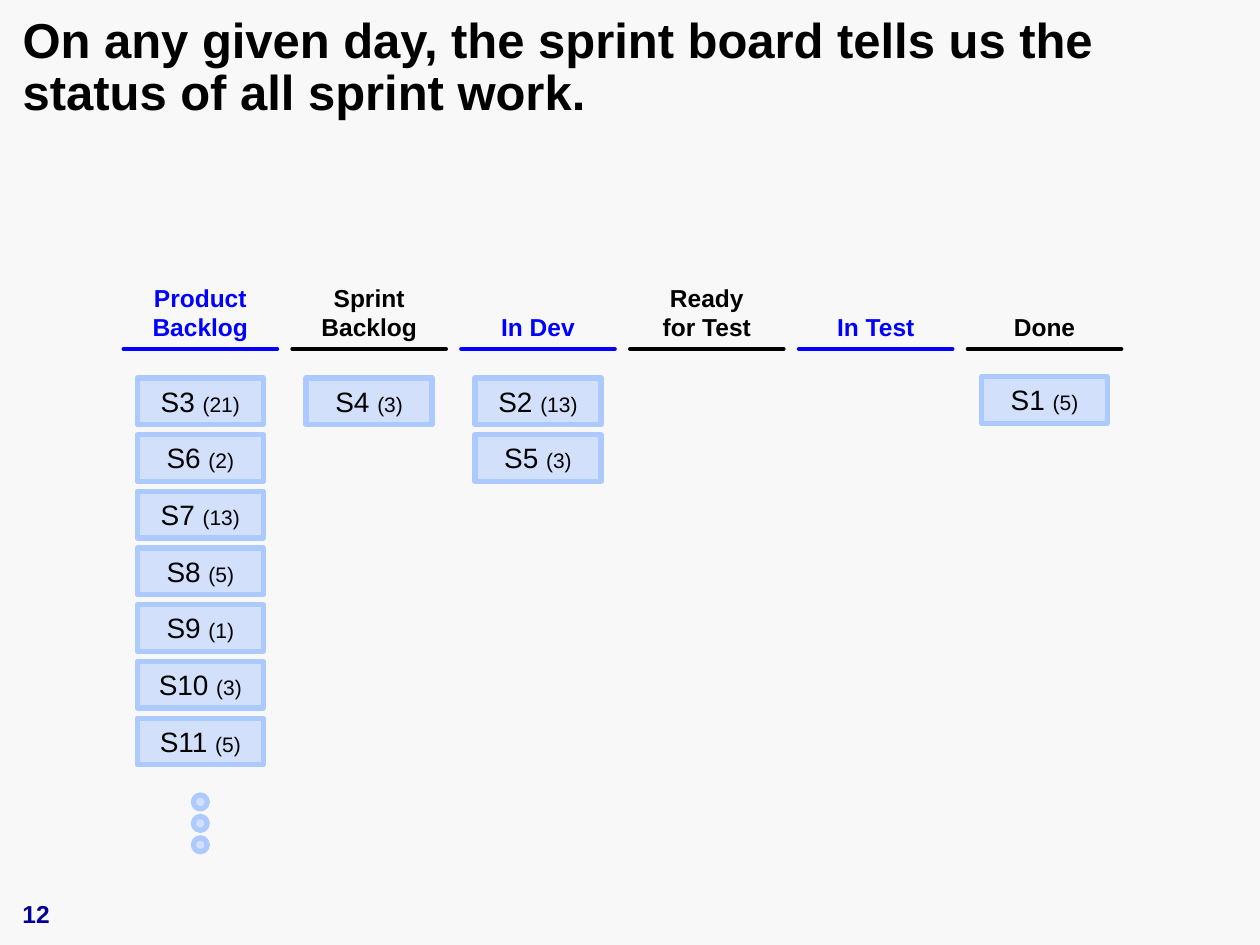
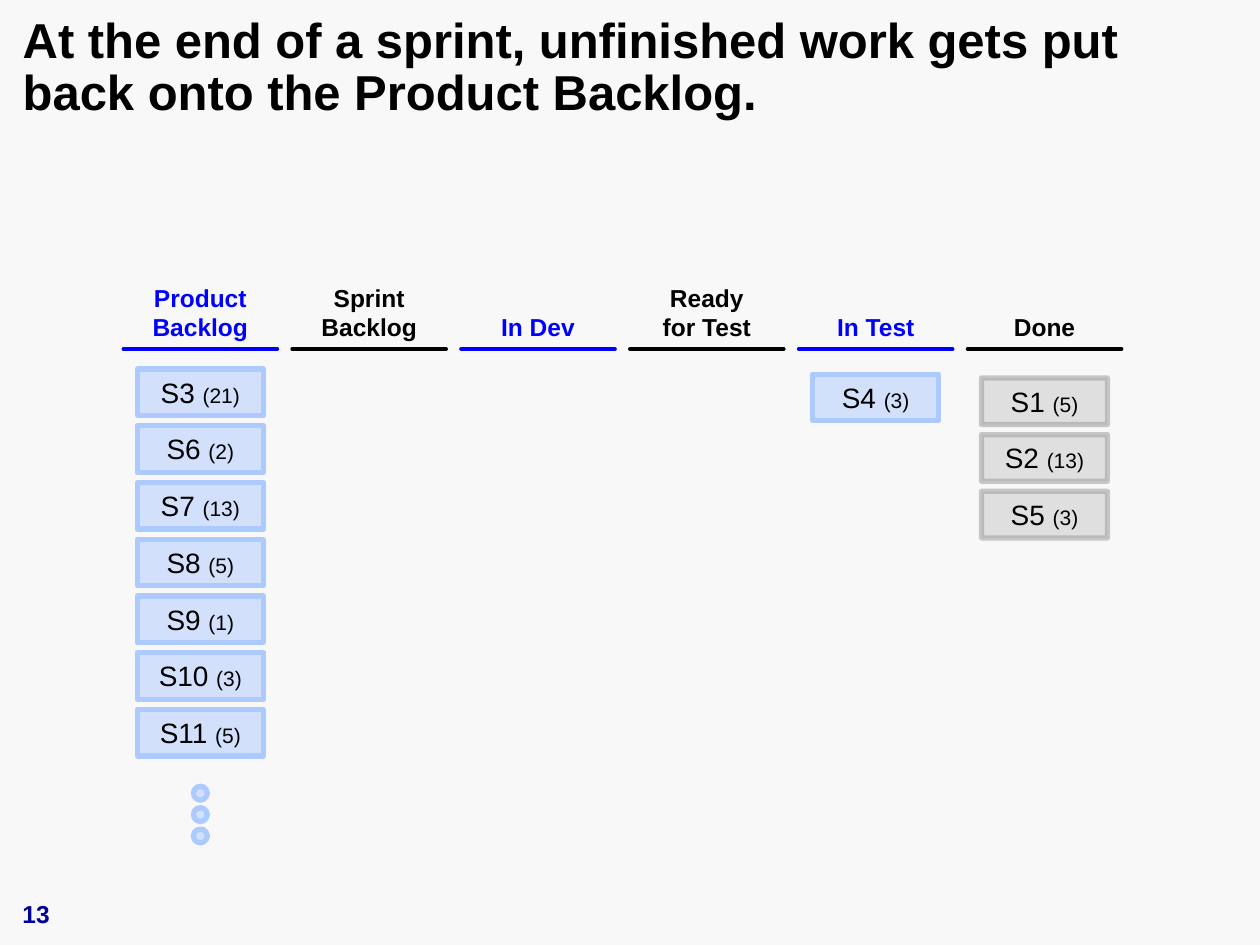
from dataclasses import dataclass

from lxml.etree import SubElement
from pptx import Presentation
from pptx.dml.color import RGBColor
from pptx.enum.shapes import MSO_CONNECTOR, MSO_SHAPE
from pptx.enum.text import MSO_ANCHOR as Anchor, MSO_AUTO_SIZE as AutoSize, PP_ALIGN as Align
from pptx.oxml.ns import qn
from pptx.util import Inches, Pt

PAPER = RGBColor(0xF8, 0xF8, 0xF8)
BLACK = RGBColor(0x00, 0x00, 0x00)
BLUE = RGBColor(0x00, 0x00, 0xFF)
NAVY = RGBColor(0x00, 0x00, 0x99)
SKY = RGBColor(0xAD, 0xCA, 0xFF)
GRAY = RGBColor(0x96, 0x96, 0x96)
FONT = "Arial"

TITLE_ONLY = 5
MARGIN = 0.08
GRID_LEFT, COLUMN_PITCH, RULE_WIDTH = 0.98, 1.34, 1.22
HEADER_TOP, HEADER_HEIGHT, RULE_TOP = 2.15, 0.66, 2.77
ROW_PITCH, CARD_INDENT, CARD_WIDTH, CARD_HEIGHT = 0.45, 0.11, 1.0, 0.37
DOT_SIZE, DOT_PITCH, DOTS_BELOW_TOP = 0.11, 0.17, 3.31

HEADERS = ["Product\nBacklog", "Sprint\nBacklog", "In Dev", "Ready\nfor Test", "In Test", "Done"]
PRODUCT_BACKLOG, SPRINT_BACKLOG, IN_DEV, READY, IN_TEST, DONE = range(len(HEADERS))
POINTS = {"S1": 5, "S2": 13, "S3": 21, "S4": 3, "S5": 3, "S6": 2, "S7": 13,
          "S8": 5, "S9": 1, "S10": 3, "S11": 5}
WAITING = ["S3", "S6", "S7", "S8", "S9", "S10", "S11"]


@dataclass(frozen=True)
class CardStyle:
    color: RGBColor
    fill_opacity: int
    line_opacity: int


OPEN = CardStyle(SKY, 50, 100)
CLOSED = CardStyle(GRAY, 25, 50)


@dataclass(frozen=True)
class Stack:
    column: int
    stories: list[str]
    top: float = 3.0
    style: CardStyle = OPEN


@dataclass(frozen=True)
class Board:
    number: int
    title: str
    stacks: list[Stack]


BOARDS = [
    Board(12, "On any given day, the sprint board tells us the status of all sprint work.", [
        Stack(PRODUCT_BACKLOG, WAITING),
        Stack(SPRINT_BACKLOG, ["S4"]),
        Stack(IN_DEV, ["S2", "S5"]),
        Stack(DONE, ["S1"], top=2.99),
    ]),
    Board(13, "At the end of a sprint, unfinished work gets put back onto the Product Backlog.", [
        Stack(PRODUCT_BACKLOG, WAITING, top=2.93),
        Stack(IN_TEST, ["S4"], top=2.97),
        Stack(DONE, ["S1", "S2", "S5"], style=CLOSED),
    ]),
]


def column_left(column: int) -> float:
    return GRID_LEFT + column * COLUMN_PITCH


def add_text(shape, text: str, *, size: float, color: RGBColor = BLACK, bold: bool = False,
             align: Align = Align.LEFT, anchor: Anchor = Anchor.TOP) -> None:
    frame = shape.text_frame
    frame.word_wrap = True
    frame.auto_size = AutoSize.NONE
    frame.vertical_anchor = anchor
    paragraph = frame.paragraphs[0]
    paragraph.alignment = align
    for index, line in enumerate(text.split("\n")):
        if index:
            paragraph.add_line_break()
        run = paragraph.add_run()
        run.text = line
        run.font.name = FONT
        run.font.size = Pt(size)
        run.font.bold = bold
        run.font.color.rgb = color


def add_title(slide, text: str) -> None:
    title = slide.shapes.title
    title.left, title.top = Inches(MARGIN), Inches(MARGIN)
    title.width, title.height = Inches(9.82), Inches(1.25)
    add_text(title, text, size=28, bold=True)
    title.text_frame.paragraphs[0].line_spacing = 0.89


def add_page_number(slide, number: int) -> None:
    box = slide.shapes.add_textbox(Inches(MARGIN), Inches(7.02), Inches(2.33), Inches(0.4))
    add_text(box, str(number), size=14, color=NAVY, bold=True, anchor=Anchor.BOTTOM)


def add_header(slide, column: int) -> None:
    color = BLACK if column % 2 else BLUE
    left = column_left(column)
    group = slide.shapes.add_group_shape()
    label = group.shapes.add_textbox(Inches(left), Inches(HEADER_TOP),
                                     Inches(RULE_WIDTH), Inches(HEADER_HEIGHT))
    label.text_frame.margin_bottom = Inches(0.1)
    add_text(label, HEADERS[column], size=14, color=color, bold=True,
             align=Align.CENTER, anchor=Anchor.BOTTOM)
    rule = group.shapes.add_connector(MSO_CONNECTOR.STRAIGHT, Inches(left), Inches(RULE_TOP),
                                      Inches(left + RULE_WIDTH), Inches(RULE_TOP))
    rule.line.color.rgb = color
    rule.line.width = Pt(2.25)
    properties = rule.element.spPr
    properties.find(qn("a:ln")).set("cap", "rnd")
    SubElement(properties, qn("a:effectLst"))


def add_tinted_shape(slide, kind: MSO_SHAPE, left: float, top: float, width: float,
                     height: float, style: CardStyle):
    shape = slide.shapes.add_shape(kind, Inches(left), Inches(top), Inches(width), Inches(height))
    shape.shadow.inherit = False
    shape.fill.solid()
    shape.fill.fore_color.rgb = style.color
    shape.line.color.rgb = style.color
    shape.line.width = Pt(3)
    colors = shape.element.spPr.iter(qn("a:srgbClr"))
    for color, opacity in zip(list(colors), (style.fill_opacity, style.line_opacity)):
        SubElement(color, qn("a:alpha"), val=str(opacity * 1000))
    return shape


def add_stack(slide, stack: Stack) -> None:
    left = column_left(stack.column) + CARD_INDENT
    for row, story in enumerate(stack.stories):
        card = add_tinted_shape(slide, MSO_SHAPE.RECTANGLE, left, stack.top + row * ROW_PITCH,
                                CARD_WIDTH, CARD_HEIGHT, stack.style)
        add_text(card, f"{story} ", size=16, align=Align.CENTER)
        add_text(card, f"({POINTS[story]})", size=12, align=Align.CENTER)
    if stack.column == PRODUCT_BACKLOG:
        for dot in range(3):
            add_tinted_shape(slide, MSO_SHAPE.OVAL, left + (CARD_WIDTH - DOT_SIZE) / 2,
                             stack.top + DOTS_BELOW_TOP + dot * DOT_PITCH,
                             DOT_SIZE, DOT_SIZE, stack.style)


def add_board(presentation, board: Board) -> None:
    slide = presentation.slides.add_slide(presentation.slide_layouts[TITLE_ONLY])
    add_title(slide, board.title)
    add_page_number(slide, board.number)
    for column in range(len(HEADERS)):
        add_header(slide, column)
    for stack in board.stacks:
        add_stack(slide, stack)


def main() -> None:
    presentation = Presentation()
    presentation.slide_width, presentation.slide_height = Inches(10), Inches(7.5)
    background = presentation.slide_master.background.fill
    background.solid()
    background.fore_color.rgb = PAPER
    for board in BOARDS:
        add_board(presentation, board)
    presentation.save("out.pptx")


if __name__ == "__main__":
    main()
